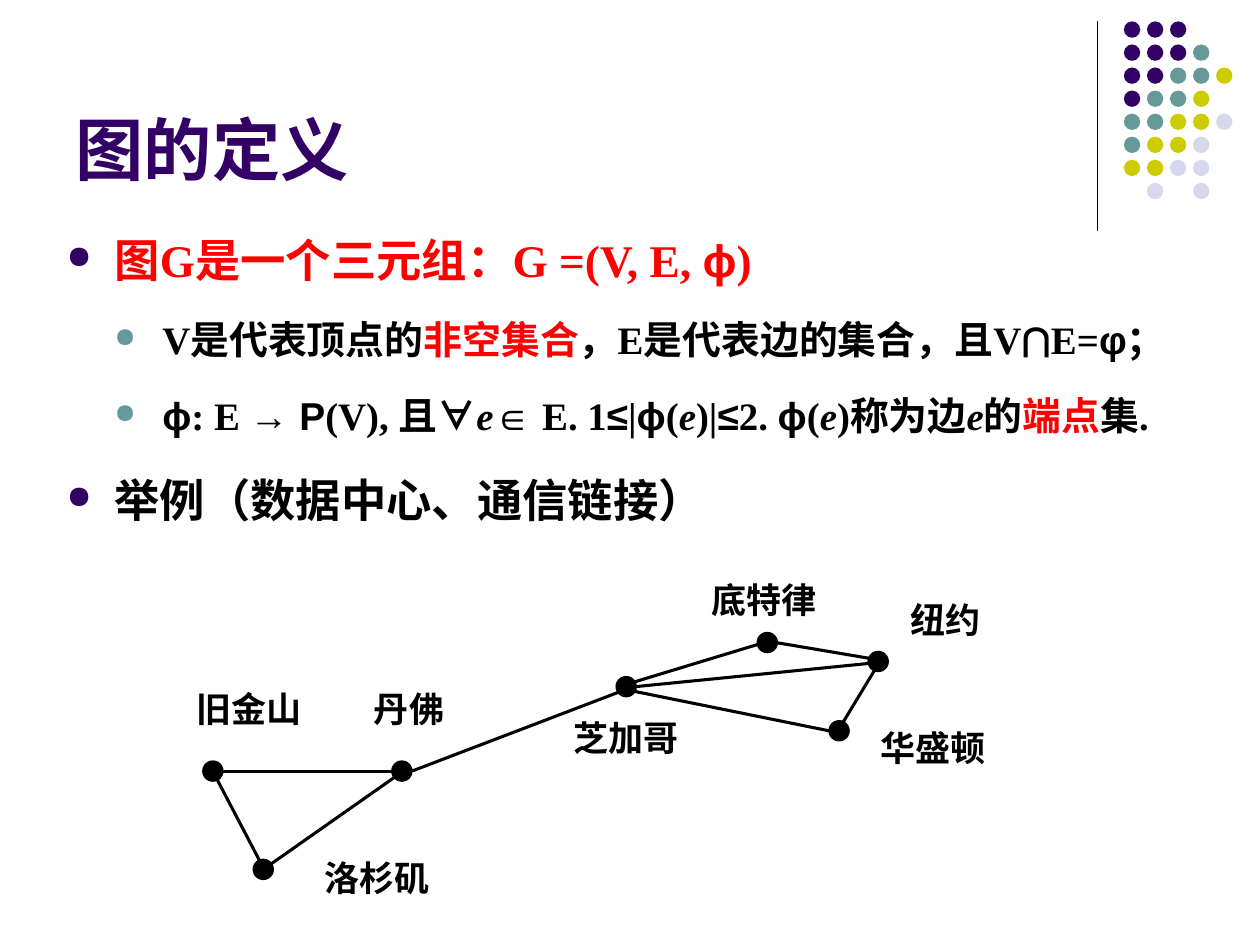
from lxml import etree
from pptx import Presentation
from pptx.dml.color import RGBColor
from pptx.enum.shapes import MSO_CONNECTOR, MSO_SHAPE
from pptx.enum.text import MSO_ANCHOR, PP_ALIGN
from pptx.oxml.ns import qn
from pptx.util import Inches, Pt

LINE = MSO_CONNECTOR.STRAIGHT
OVAL, NODE, CALLOUT = MSO_SHAPE.OVAL, MSO_SHAPE.FLOWCHART_CONNECTOR, MSO_SHAPE.RECTANGULAR_CALLOUT
LEFT, JUSTIFY = PP_ALIGN.LEFT, PP_ALIGN.JUSTIFY
TOP, BOTTOM = MSO_ANCHOR.TOP, MSO_ANCHOR.BOTTOM

PURPLE = RGBColor(0x33, 0x00, 0x66)
TEAL = RGBColor(0x66, 0x99, 0x99)
OLIVE = RGBColor(0xCC, 0xCC, 0x00)
LAVENDER = RGBColor(0xD8, 0xD8, 0xEC)
RED = RGBColor(0xFF, 0x00, 0x00)
BLACK = RGBColor(0x00, 0x00, 0x00)
SANS, SERIF = "Arial", "Times New Roman"

DOT_COLORS = {"P": PURPLE, "T": TEAL, "O": OLIVE, "L": LAVENDER}
DOT_ROWS = ["PPP", "PPPT", "PPTTO", "PTTO", "TTOOL", "TOOL", "OOLL", " L L"]

# Level, then runs of text and style letters: s sans, i italic, r red
BODY = [
    (0, [("图G是一个三元组：G =(V, E, ", "r"), ("ϕ", "rs"), (")", "r")]),
    (1, [("V是代表顶点的", ""), ("非空集合", "r"), ("，E是代表边的集合，且V⋂E=", ""),
         ("φ", "s"), ("；", "")]),
    (1, [("ϕ", "s"), (": E ", ""), ("→ Ρ", "s"), ("(V), 且", ""), ("∀", "s"), ("e", "i"),
         ("∈", "s"), (" E. 1", ""), ("≤", "s"), ("|", ""), ("ϕ", "s"), ("(", ""), ("e", "i"),
         (")|", ""), ("≤", "s"), ("2. ", ""), ("ϕ", "s"), ("(", ""), ("e", "i"),
         (")称为边", ""), ("e", "i"), ("的", ""), ("端点", "r"), ("集.", "")]),
    (0, [("举例（数据中心、通信链接）", "")]),
]
# Per level: text size, space before, bullet colour
LEVELS = [(25.9, 7, PURPLE), (22.2, 6, TEAL)]

NODE_SIZE = 0.16
# City, left and top of its node, left and top of its label
CITIES = [
    ("旧金山", 1.61, 6.04, 1.46, 5.41),
    ("洛杉矶", 2.01, 6.82, 2.48, 6.75),
    ("丹佛", 3.11, 6.04, 2.87, 5.41),
    ("芝加哥", 4.89, 5.37, 4.45, 5.64),
    ("纽约", 6.89, 5.17, 7.13, 4.7),
    ("底特律", 6.01, 5.02, 5.55, 4.54),
    ("华盛顿", 6.58, 5.72, 6.89, 5.72),
]
LINKS = [
    (1.77, 6.12, 3.11, 6.12),
    (3.27, 6.12, 4.92, 5.49),
    (1.72, 6.18, 2.06, 6.83),
    (2.09, 6.9, 3.13, 6.17),
    (5.01, 5.42, 6.03, 5.11),
    (5, 5.48, 6.58, 5.8),
    (6.1, 5.09, 7.05, 5.25),
    (6.65, 5.8, 7.02, 5.19),
    (4.94, 5.46, 7.05, 5.25),
]


def add_line(s, x1, y1, x2, y2, width):
    c = s.shapes.add_connector(LINE, Inches(x1), Inches(y1), Inches(x2), Inches(y2))
    c.line.color.rgb = BLACK
    c.line.width = Pt(width)
    etree.SubElement(c._element.spPr, qn("a:effectLst"))


def add_disc(s, kind, x, y, size, color):
    sp = s.shapes.add_shape(kind, Inches(x), Inches(y), Inches(size), Inches(size))
    sp.shadow.inherit = False
    sp.fill.solid()
    sp.fill.fore_color.rgb = color
    sp.line.fill.background()
    return sp


def add_run(p, text, size, color, font=SANS, italic=False):
    r = p.add_run()
    r.text = text
    r.font.name = font
    r.font.size = Pt(size)
    r.font.bold = True
    r.font.italic = italic
    r.font.color.rgb = color


def set_bullet(p, level, color):
    """Give the paragraph a hanging round bullet at 70 % of the text size."""
    pPr = p._p.get_or_add_pPr()
    pPr.set("marL", str(Inches(0.38 * (level + 1))))
    pPr.set("indent", str(Inches(-0.38)))
    bu_color = etree.SubElement(pPr, qn("a:buClr"))
    etree.SubElement(bu_color, qn("a:srgbClr"), val=str(color))
    etree.SubElement(pPr, qn("a:buSzPct"), val="70000")
    etree.SubElement(pPr, qn("a:buChar"), char="●")


def add_title(s, text):
    title = s.shapes.title
    title.left, title.top = Inches(0.5), Inches(0.13)
    title.width, title.height = Inches(8.25), Inches(1.42)
    tf = title.text_frame
    tf.vertical_anchor = BOTTOM
    p = tf.paragraphs[0]
    p.alignment = LEFT
    add_run(p, text, 39, PURPLE)


def add_dot_pattern(s):
    add_line(s, 8.71, 0.17, 8.71, 1.83, 0.75)
    for row, codes in enumerate(DOT_ROWS):
        for col, code in enumerate(codes):
            if code in DOT_COLORS:
                add_disc(s, OVAL, 8.92 + 0.183 * col, 0.17 + 0.183 * row, 0.13, DOT_COLORS[code])


def add_body(s):
    tf = s.shapes.add_textbox(Inches(0.43), Inches(1.62), Inches(9.45), Inches(2.91)).text_frame
    tf.word_wrap = True
    for i, (level, runs) in enumerate(BODY):
        size, before, bullet_color = LEVELS[level]
        p = tf.add_paragraph() if i else tf.paragraphs[0]
        p.level = level
        p.alignment = JUSTIFY
        p.line_spacing = 1.4
        p.space_before = Pt(before)
        set_bullet(p, level, bullet_color)
        for text, style in runs:
            add_run(p, text, size, RED if "r" in style else BLACK,
                    SANS if "s" in style else SERIF, "i" in style)


def add_node(s, x, y):
    sp = add_disc(s, NODE, x, y, NODE_SIZE, BLACK)
    sp.line.color.rgb = BLACK
    sp.line.width = Pt(0.75)


def add_label(s, text, x, y):
    sp = s.shapes.add_shape(CALLOUT, Inches(x), Inches(y), Inches(1.1), Inches(0.55))
    sp.shadow.inherit = False
    sp.fill.background()
    sp.line.fill.background()
    tf = sp.text_frame
    tf.word_wrap = True
    tf.vertical_anchor = TOP
    p = tf.paragraphs[0]
    p.alignment = LEFT
    add_run(p, text, 20, BLACK)


def main():
    prs = Presentation()
    prs.slide_width, prs.slide_height = Inches(10), Inches(7.5)
    s = prs.slides.add_slide(prs.slide_layouts[5])
    add_dot_pattern(s)
    add_title(s, "图的定义")
    add_body(s)
    for _, x, y, _, _ in CITIES:
        add_node(s, x, y)
    for link in LINKS:
        add_line(s, *link, 1.75)
    for city, _, _, x, y in CITIES:
        add_label(s, city, x, y)
    prs.save("out.pptx")


if __name__ == "__main__":
    main()
